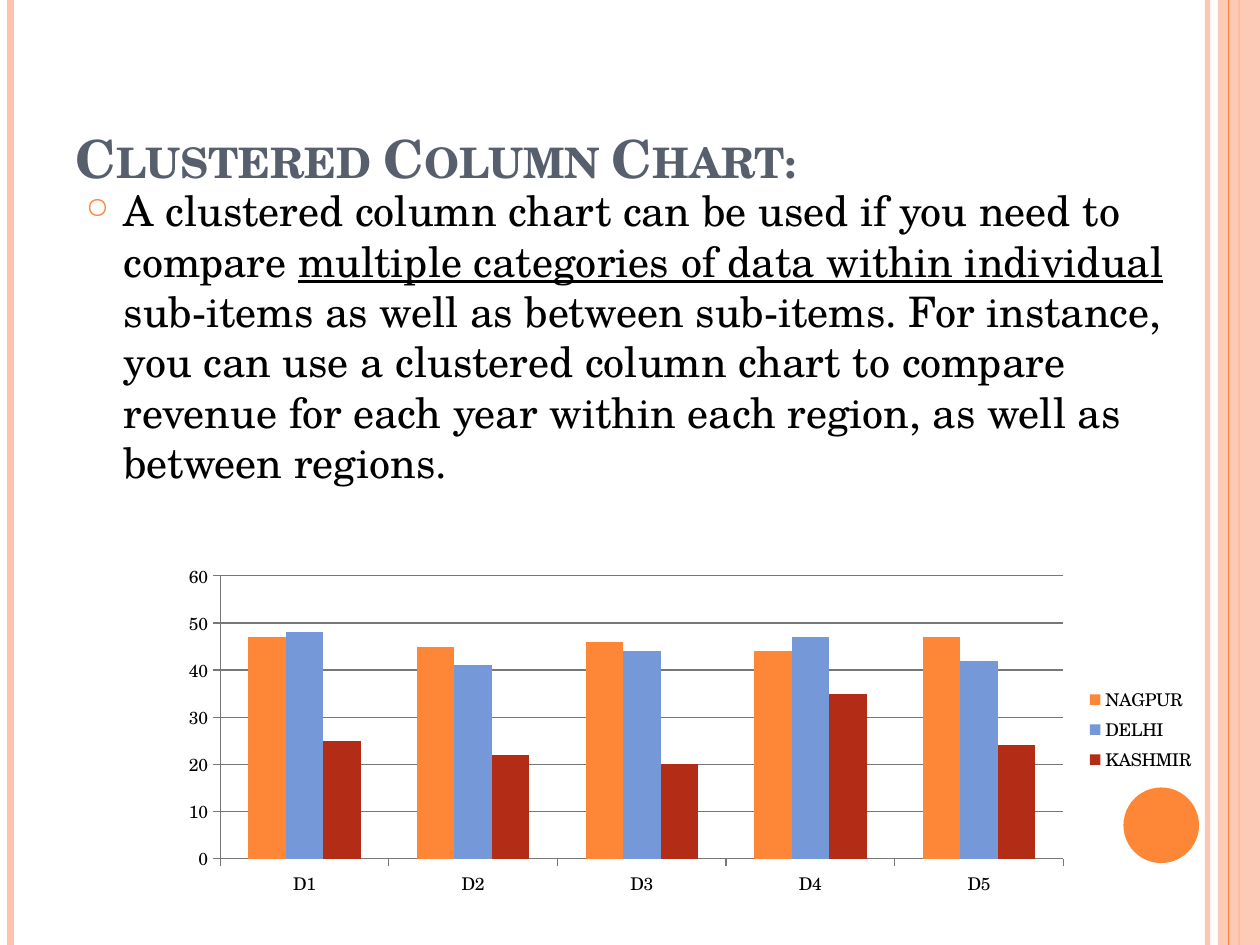
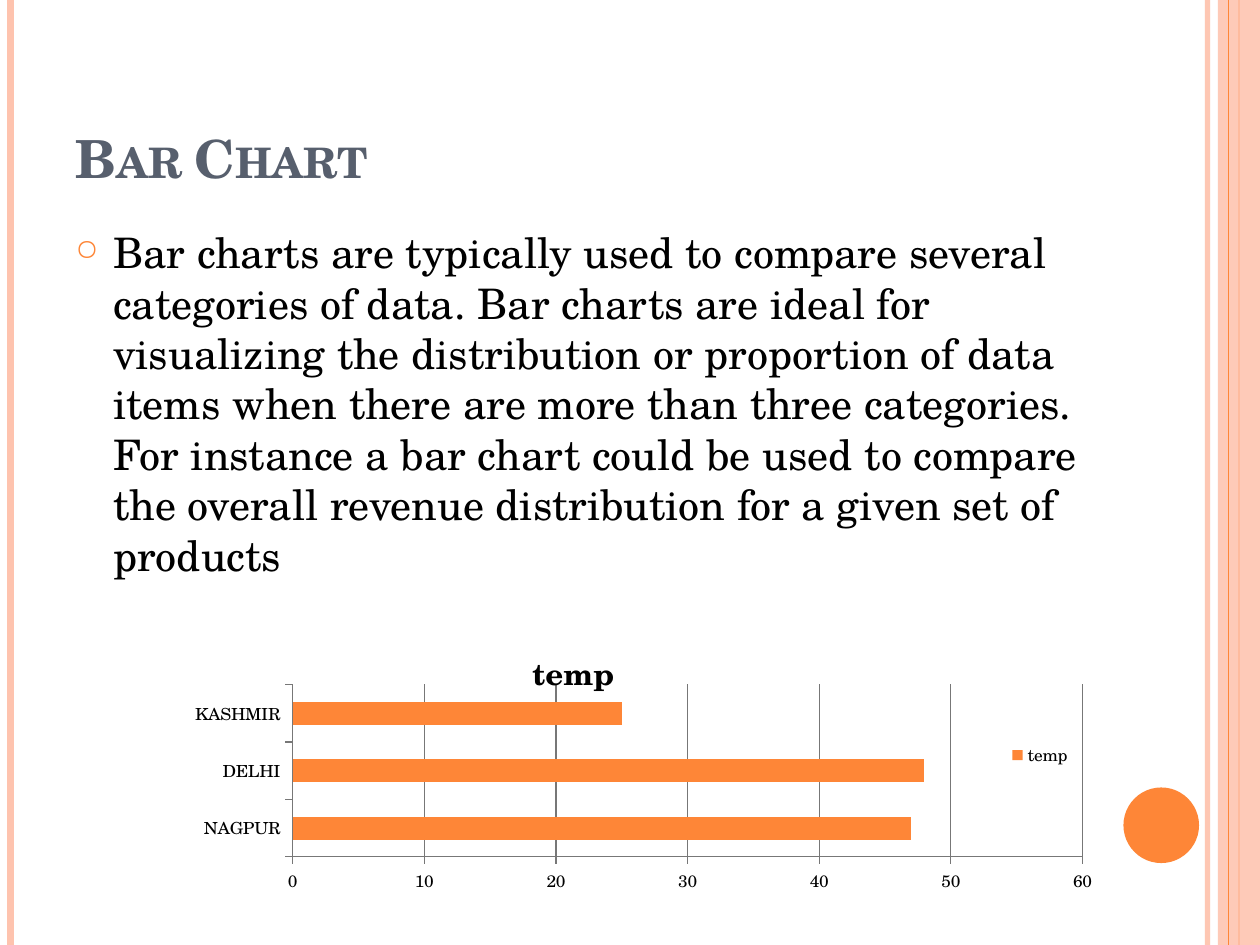
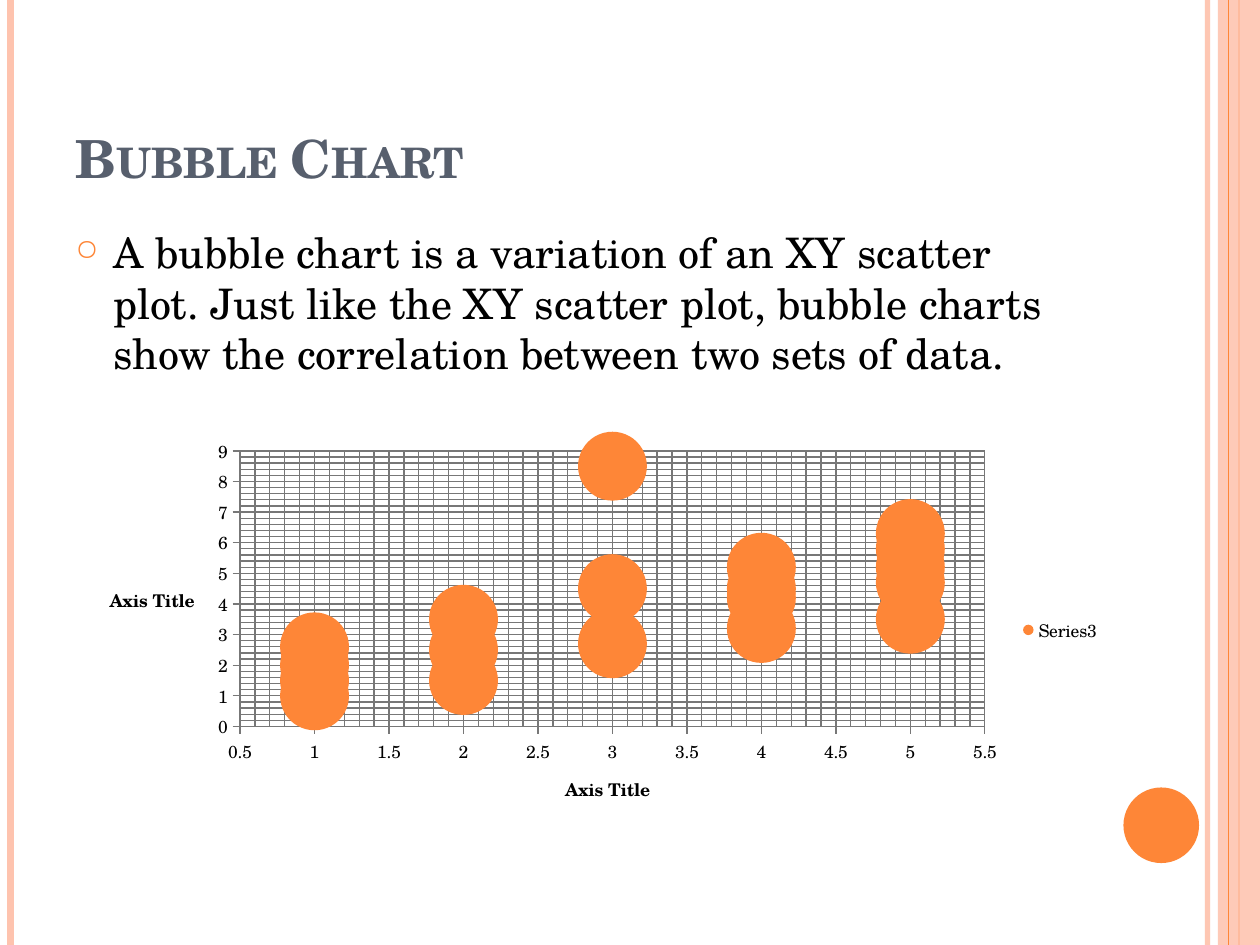
import copy
from typing import Any, NamedTuple

import pptx
import pptx.chart.data
import pptx.dml.color
import pptx.enum.chart
import pptx.enum.shapes
import pptx.enum.text
import pptx.oxml
import pptx.oxml.ns
import pptx.util

RGB = pptx.dml.color.RGBColor
Pt = pptx.util.Pt
ChartType = pptx.enum.chart.XL_CHART_TYPE

# Shared look
WHITE = RGB(0xFF, 0xFF, 0xFF)
BLACK = RGB(0x00, 0x00, 0x00)
SLATE = RGB(0x57, 0x5F, 0x6D)
ORANGE = RGB(0xFE, 0x86, 0x37)
BLUE = RGB(0x75, 0x98, 0xD9)
RED = RGB(0xB3, 0x2C, 0x16)
PEACH = RGB(0xFE, 0xC3, 0xAE)
GRID_GRAY = RGB(0x77, 0x77, 0x77)
FONT = "TeX Gyre Schola"

# Grid: 120 columns by 90 rows on a 10 by 7.5 inch slide
COLUMNS, ROWS = 120, 90
CELL = pptx.util.Inches(10) // COLUMNS

TITLE_FORMAT = {"name": FONT, "size": Pt(30), "bold": True}
BODY_FORMAT = {"name": FONT, "size": Pt(24)}
CHART_FORMAT = {"name": FONT, "size": Pt(10)}
AXIS_TITLE_FORMAT = {"name": FONT, "size": Pt(10), "bold": True}
CHART_TITLE_FORMAT = {"name": FONT, "size": Pt(18), "bold": True}


class Area(NamedTuple):
    column: float
    row: float
    columns: float
    rows: float

    def emu(self) -> list[int]:
        return [round(value * CELL) for value in self]


class Stripe(NamedTuple):
    column: float
    color: RGB
    weight: float
    opacity: int = 100


class Phrase(NamedTuple):
    text: str
    underline: bool = False


class Topic(NamedTuple):
    title: str
    body_area: Area
    phrases: list[Phrase]
    chart_area: Area
    chart_type: ChartType
    data: Any
    colors: list[RGB]


STRIPES = [
    Stripe(115, PEACH, 3, 93),
    Stripe(1, PEACH, 4.5),
    Stripe(118, ORANGE, 1.5),
]
EDGE_STRIPE = Stripe(117, ORANGE, 0.75)
BAND_AREA = Area(116, 0, 4, ROWS)
DISC_AREA = Area(107, 75, 7.2, 7.2)
TITLE_AREA = Area(6, 3.6, 98, 15)
BODY_AREA = Area(6, 21, 98, 64)


def apply_format(font: Any, values: dict[str, Any], color: RGB = BLACK) -> None:
    for name, value in values.items():
        setattr(font, name, value)
    font.color.rgb = color


def set_opacity(shape: Any, percent: int) -> None:
    for color in shape.element.xpath("./p:spPr//a:srgbClr"):
        color.append(color.makeelement(
            pptx.oxml.ns.qn("a:alpha"), {"val": str(percent * 1000)}))


# Frame: side stripes, band and disc
def draw_stripe(slide: Any, stripe: Stripe) -> Any:
    x = round(stripe.column * CELL)
    line = slide.shapes.add_connector(
        pptx.enum.shapes.MSO_CONNECTOR.STRAIGHT, x, 0, x, ROWS * CELL)
    line.line.color.rgb = stripe.color
    line.line.width = Pt(stripe.weight)
    if stripe.opacity < 100:
        set_opacity(line, stripe.opacity)
    properties = line.element.xpath("./p:spPr")[0]
    properties.append(properties.makeelement(pptx.oxml.ns.qn("a:effectLst")))
    return line


def draw_solid(slide: Any, preset: Any, area: Area, color: RGB) -> Any:
    solid = slide.shapes.add_shape(preset, *area.emu())
    solid.shadow.inherit = False
    solid.fill.solid()
    solid.fill.fore_color.rgb = color
    solid.line.fill.background()
    return solid


def draw_frame(slide: Any) -> None:
    presets = pptx.enum.shapes.MSO_SHAPE
    band_axis = [draw_stripe(slide, stripe) for stripe in STRIPES][-1]
    band = draw_solid(slide, presets.RECTANGLE, BAND_AREA, PEACH)
    set_opacity(band, 87)
    band_axis.begin_connect(band, 0)
    band_axis.end_connect(band, 2)
    draw_stripe(slide, EDGE_STRIPE)
    draw_solid(slide, presets.OVAL, DISC_AREA, ORANGE)


# Text
def draw_title(slide: Any, text: str) -> None:
    title = slide.shapes.add_textbox(*TITLE_AREA.emu())
    title.text_frame.word_wrap = True
    title.text_frame.vertical_anchor = pptx.enum.text.MSO_ANCHOR.BOTTOM
    run = title.text_frame.paragraphs[0].add_run()
    run.text = text
    apply_format(run.font, TITLE_FORMAT, SLATE)
    title.element.xpath(".//a:rPr")[0].set("cap", "small")


def draw_body(slide: Any, area: Area, phrases: list[Phrase]) -> None:
    body = slide.shapes.add_textbox(*area.emu())
    body.text_frame.word_wrap = True
    paragraph = body.text_frame.paragraphs[0]
    paragraph.space_before = Pt(6)
    for phrase in phrases:
        run = paragraph.add_run()
        run.text = phrase.text
        apply_format(run.font, BODY_FORMAT)
        run.font.underline = phrase.underline
    # Hollow round bullet with a hanging indent
    properties = body.element.xpath(".//a:pPr")[0]
    indent = pptx.util.Inches(0.3)
    properties.set("marL", str(indent))
    properties.set("indent", str(-indent))
    bullet = pptx.oxml.parse_xml(
        '<a:pPr xmlns:a="http://schemas.openxmlformats.org/drawingml/2006/main">'
        f'<a:buClr><a:srgbClr val="{ORANGE}"/></a:buClr>'
        '<a:buSzPct val="70000"/><a:buChar char="○"/></a:pPr>')
    properties.extend(list(bullet))


# Charts
def style_line(line: Any) -> None:
    line.color.rgb = GRID_GRAY
    line.width = Pt(0.75)


def set_chart_text(holder: Any, text: str, values: dict[str, Any]) -> None:
    run = holder.text_frame.paragraphs[0].add_run()
    run.text = text
    apply_format(run.font, values)


def set_scale(axis: Any, scale: tuple[float, float, float]) -> None:
    axis.minimum_scale, axis.maximum_scale, axis.major_unit = scale


def draw_chart(slide: Any, topic: Topic) -> Any:
    chart = slide.shapes.add_chart(
        topic.chart_type, *topic.chart_area.emu(), topic.data).chart
    apply_format(chart.font, CHART_FORMAT)
    chart.has_title = False
    chart.has_legend = True
    chart.legend.position = pptx.enum.chart.XL_LEGEND_POSITION.RIGHT
    chart.legend.include_in_layout = False
    for series, color in zip(chart.plots[0].series, topic.colors):
        series.format.fill.solid()
        series.format.fill.fore_color.rgb = color
    chart.category_axis.has_major_gridlines = False
    chart.value_axis.has_major_gridlines = True
    for axis in (chart.category_axis, chart.value_axis):
        axis.major_tick_mark = pptx.enum.chart.XL_TICK_MARK.OUTSIDE
        style_line(axis.format.line)
    style_line(chart.value_axis.major_gridlines.format.line)
    return chart


def finish_columns(chart: Any) -> None:
    chart.plots[0].vary_by_categories = False
    chart.plots[0].gap_width = 150
    set_scale(chart.value_axis, (0, 60, 10))


def finish_bars(chart: Any) -> None:
    finish_columns(chart)
    chart.has_title = True
    set_chart_text(chart.chart_title, "temp", CHART_TITLE_FORMAT)
    shares = {"x": 0.225, "y": 0.218, "w": 0.774, "h": 0.689}
    places = "".join(f'<c:{key} val="{share}"/>' for key, share in shares.items())
    layout = pptx.oxml.parse_xml(
        '<c:layout xmlns:c="http://schemas.openxmlformats.org/drawingml/2006/chart">'
        '<c:manualLayout><c:layoutTarget val="inner"/><c:xMode val="edge"/>'
        f'<c:yMode val="edge"/>{places}</c:manualLayout></c:layout>')
    plot_area = chart.element.xpath(".//c:plotArea")[0]
    for automatic in plot_area.xpath("./c:layout"):
        plot_area.remove(automatic)
    plot_area.insert(0, layout)


def finish_bubbles(chart: Any) -> None:
    for axis, scale in ((chart.category_axis, (0.5, 5.5, 0.5)),
                        (chart.value_axis, (0, 9, 1))):
        set_scale(axis, scale)
        axis.minor_unit = scale[2] / 5
        axis.has_major_gridlines = axis.has_minor_gridlines = True
        style_line(axis.major_gridlines.format.line)
        axis.has_title = True
        set_chart_text(axis.axis_title, "Axis Title", AXIS_TITLE_FORMAT)
    # Minor gridlines take the look of the major ones
    grid_style = chart.element.xpath(".//c:majorGridlines/c:spPr")[0]
    for gridlines in chart.element.xpath(".//c:minorGridlines"):
        gridlines.append(copy.deepcopy(grid_style))
    upright = chart.value_axis.axis_title.element.xpath(".//a:bodyPr")[0]
    upright.set("rot", "0")
    upright.set("vert", "horz")


# Data
def category_data(categories: list[str], rows: dict[str, list[int]]) -> Any:
    data = pptx.chart.data.CategoryChartData()
    data.categories = categories
    for name, values in rows.items():
        data.add_series(name, values)
    return data


def bubble_data(name: str, columns: dict[int, list[float]]) -> Any:
    data = pptx.chart.data.BubbleChartData()
    series = data.add_series(name)
    for x, heights in columns.items():
        for y in heights:
            series.add_data_point(x, y, 1)
    return data


TOPICS = [
    (Topic(
        "Clustered Column Chart:",
        Area(7, 17, 108, 59.4),
        [Phrase("A clustered column chart can be used if you need to compare "),
         Phrase("multiple categories of data within individual ", True),
         Phrase("sub-items as well as between sub-items. For instance, you can use a "
                "clustered column chart to compare revenue for each year within each "
                "region, as well as between regions.")],
        Area(16, 53, 99, 33),
        ChartType.COLUMN_CLUSTERED,
        category_data(["D1", "D2", "D3", "D4", "D5"], {
            "NAGPUR": [47, 45, 46, 44, 47],
            "DELHI": [48, 41, 44, 47, 42],
            "KASHMIR": [25, 22, 20, 35, 24]}),
        [ORANGE, BLUE, RED]), finish_columns),
    (Topic(
        "Bar Chart",
        BODY_AREA,
        [Phrase("Bar charts are typically used to compare several categories of data. "
                "Bar charts are ideal for visualizing the distribution or proportion of "
                "data items when there are more than three categories. For instance a "
                "bar chart could be used to compare the overall revenue distribution "
                "for a given set of products")],
        Area(6, 60, 98, 25),
        ChartType.BAR_CLUSTERED,
        category_data(["NAGPUR", "DELHI", "KASHMIR"], {"temp": [47, 48, 25]}),
        [ORANGE]), finish_bars),
    (Topic(
        "Bubble Chart",
        BODY_AREA,
        [Phrase("A bubble chart is a variation of an XY scatter plot. Just like the XY "
                "scatter plot, bubble charts show the correlation between two sets of "
                "data.")],
        Area(8, 41, 98, 38),
        ChartType.BUBBLE,
        bubble_data("Series3", {
            1: [1, 2, 1.5, 2.6],
            2: [1.5, 3.5, 2.5],
            3: [4.5, 8.5, 2.7],
            4: [4.5, 3.2, 4.2, 5.2],
            5: [5.8, 6.3, 4.7, 5.2, 3.5]}),
        [ORANGE]), finish_bubbles),
]


def main() -> None:
    deck = pptx.Presentation()
    deck.slide_width, deck.slide_height = COLUMNS * CELL, ROWS * CELL
    for topic, finish in TOPICS:
        slide = deck.slides.add_slide(deck.slide_layouts[6])
        slide.background.fill.solid()
        slide.background.fill.fore_color.rgb = WHITE
        draw_frame(slide)
        draw_title(slide, topic.title)
        draw_body(slide, topic.body_area, topic.phrases)
        finish(draw_chart(slide, topic))
    deck.save("out.pptx")


if __name__ == "__main__":
    main()
